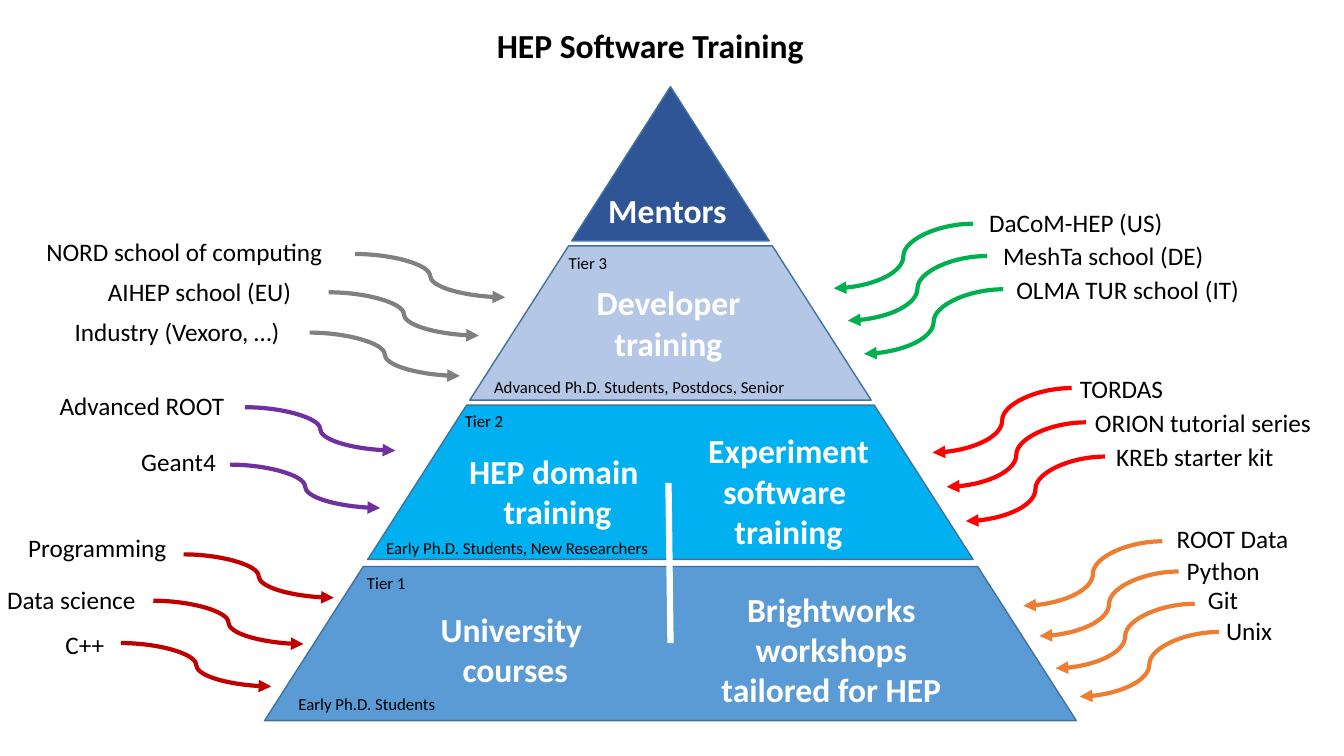
from pptx import Presentation, util as u
from pptx.dml.color import RGBColor
from pptx.enum import shapes, text
from pptx.oxml.ns import qn
from lxml import etree

FONT = "Calibri"
BLACK, WHITE, EDGE = "000000", "FFFFFF", "42719B"
APEX_X, APEX_Y, SLOPE, TIER_HEIGHT = 6.65, 0.86, 0.64, 1.53

# top of each tier, fill
TIERS = [(0.86, "2F5597"), (2.44, "B4C7E7"), (4.02, "00B0F0"), (5.62, "5B9BD5")]
DIVIDER = (6.63, 4.79, 6.65, 6.38)

# text, left, top, width, colour
HEADINGS = [
    ("HEP Software Training", 4.68, 0.2, 3.54, BLACK),
    ("Mentors", 5.94, 1.83, 1.36, WHITE),
    ("Developer\ntraining", 5.78, 2.75, 1.7, WHITE),
    ("HEP domain \ntraining", 4.5, 4.42, 2.06, WHITE),
    ("Experiment\nsoftware \ntraining", 6.81, 4.22, 2.02, WHITE),
    ("University \ncourses", 4.21, 5.99, 1.8, WHITE),
    ("Brightworks\nworkshops\ntailored for HEP", 6.94, 5.79, 2.61, WHITE),
]
# text, left, top, width
TIER_NOTES = [
    ("Tier 3", 5.59, 2.46, 0.54),
    ("Advanced Ph.D. Students, Postdocs, Senior", 4.85, 3.69, 3.31),
    ("Tier 2", 4.56, 4.03, 0.54),
    ("Early Ph.D. Students, New Researchers", 3.78, 5.29, 3.01),
    ("Tier 1", 3.59, 5.63, 0.54),
    ("Early Ph.D. Students", 2.91, 6.83, 1.63),
]

# arrow reach (across, down), then groups of colour and
# (text, left, top, width, arrow start x, arrow start y)
LEFT_REACH, RIGHT_REACH = (1.49, 0.43), (-1.38, 0.64)
TRAININGS = [
    (LEFT_REACH, "808080", [
        ("NORD school of computing", 0.41, 2.29, 3.03, 3.52, 2.52),
        ("AIHEP school (EU)", 1.02, 2.69, 2.18, 3.26, 2.9),
        ("Industry (Vexoro, …)", 0.69, 3.09, 2.37, 3.07, 3.3)]),
    (LEFT_REACH, "7030A0", [
        ("Advanced ROOT", 0.54, 3.82, 1.89, 2.43, 4.04),
        ("Geant4", 1.35, 4.38, 0.92, 2.28, 4.61)]),
    (LEFT_REACH, "C00000", [
        ("Programming", 0.23, 5.23, 1.58, 1.82, 5.5),
        ("Data science", 0.02, 5.75, 1.53, 1.52, 5.96),
        ("C++", 0.6, 6.19, 0.53, 1.2, 6.38)]),
    (RIGHT_REACH, "00B050", [
        ("DaCoM-HEP (US)", 9.76, 2.01, 1.87, 9.65, 2.22),
        ("MeshTa school (DE)", 9.9, 2.33, 2.19, 9.79, 2.54),
        ("OLMA TUR school (IT)", 10.03, 2.67, 2.37, 9.95, 2.87)]),
    (RIGHT_REACH, "FF0000", [
        ("TORDAS", 10.66, 3.65, 0.98, 10.63, 3.85),
        ("ORION tutorial series", 10.81, 3.99, 2.41, 10.77, 4.19),
        ("KREb starter kit", 11.02, 4.33, 1.9, 10.96, 4.53)]),
    (RIGHT_REACH, "ED7D31", [
        ("ROOT Data", 11.62, 5.14, 1.33, 11.53, 5.37),
        ("Python", 11.72, 5.46, 0.88, 11.69, 5.67),
        ("Git", 11.93, 5.75, 0.45, 11.85, 5.99),
        ("Unix", 12.11, 6.06, 0.61, 12.09, 6.27)]),
]


def colour(hex_string):
    """Turn a hex string into a colour."""
    return RGBColor.from_string(hex_string)


def add_tier(slide, top, fill):
    """Draw the slice of the pyramid that starts at the given height."""
    bottom = top + TIER_HEIGHT
    upper, lower = (SLOPE * (y - APEX_Y) for y in (top, bottom))
    corners = [(APEX_X - upper, top), (APEX_X + lower, bottom), (APEX_X - lower, bottom)]
    if upper:
        corners.insert(1, (APEX_X + upper, top))
    corners = [(u.Inches(x), u.Inches(y)) for x, y in corners]
    outline = slide.shapes.build_freeform(*corners[0])
    outline.add_line_segments(corners[1:], close=True)
    tier = outline.convert_to_shape()
    tier.shadow.inherit = False
    tier.fill.solid()
    tier.fill.fore_color.rgb = colour(fill)
    tier.line.color.rgb = colour(EDGE)
    tier.line.width = u.Pt(1)


def add_link(slide, kind, ends, hex_string, width, arrow=False):
    """Draw a connector between two points, with an optional arrowhead."""
    link = slide.shapes.add_connector(kind, *(u.Inches(v) for v in ends))
    link.line.color.rgb = colour(hex_string)
    link.line.width = u.Pt(width)
    if arrow:
        etree.SubElement(link.line._get_or_add_ln(), qn("a:tailEnd"), type="triangle")
    etree.SubElement(link._element.spPr, qn("a:effectLst"))


def add_label(slide, words, left, top, width, size, hex_string=BLACK, heading=False):
    """Add unwrapped text; headings are bold and centred."""
    lines = words.split("\n")
    height = len(lines) * size / 60 + 0.09
    box = slide.shapes.add_textbox(*(u.Inches(v) for v in (left, top, width, height)))
    frame = box.text_frame
    frame.margin_left = frame.margin_right = u.Inches(0.05)
    frame.margin_top = frame.margin_bottom = u.Inches(0.05)
    frame.word_wrap = False
    frame.auto_size = text.MSO_AUTO_SIZE.SHAPE_TO_FIT_TEXT
    paragraph = frame.paragraphs[0]
    paragraph.alignment = text.PP_ALIGN.CENTER if heading else text.PP_ALIGN.LEFT
    paragraph.font.size = u.Pt(size)
    for number, line in enumerate(lines):
        if number:
            paragraph.add_line_break()
        run = paragraph.add_run()
        run.text = line
        run.font.name = FONT
        run.font.size = u.Pt(size)
        run.font.bold = heading
        run.font.color.rgb = colour(hex_string)


deck = Presentation()
deck.slide_width, deck.slide_height = u.Inches(13.33), u.Inches(7.5)
slide = deck.slides.add_slide(deck.slide_layouts[6])

for top, fill in TIERS:
    add_tier(slide, top, fill)
add_link(slide, shapes.MSO_CONNECTOR.STRAIGHT, DIVIDER, WHITE, 4.5)

for words, left, top, width, hex_string in HEADINGS:
    add_label(slide, words, left, top, width, 24, hex_string, heading=True)
for note in TIER_NOTES:
    add_label(slide, *note, 12)

for (across, down), hex_string, trainings in TRAININGS:
    for words, left, top, width, x, y in trainings:
        add_label(slide, words, left, top, width, 18)
        add_link(slide, shapes.MSO_CONNECTOR.CURVE, (x, y, x + across, y + down),
                 hex_string, 3, arrow=True)

deck.save("out.pptx")
